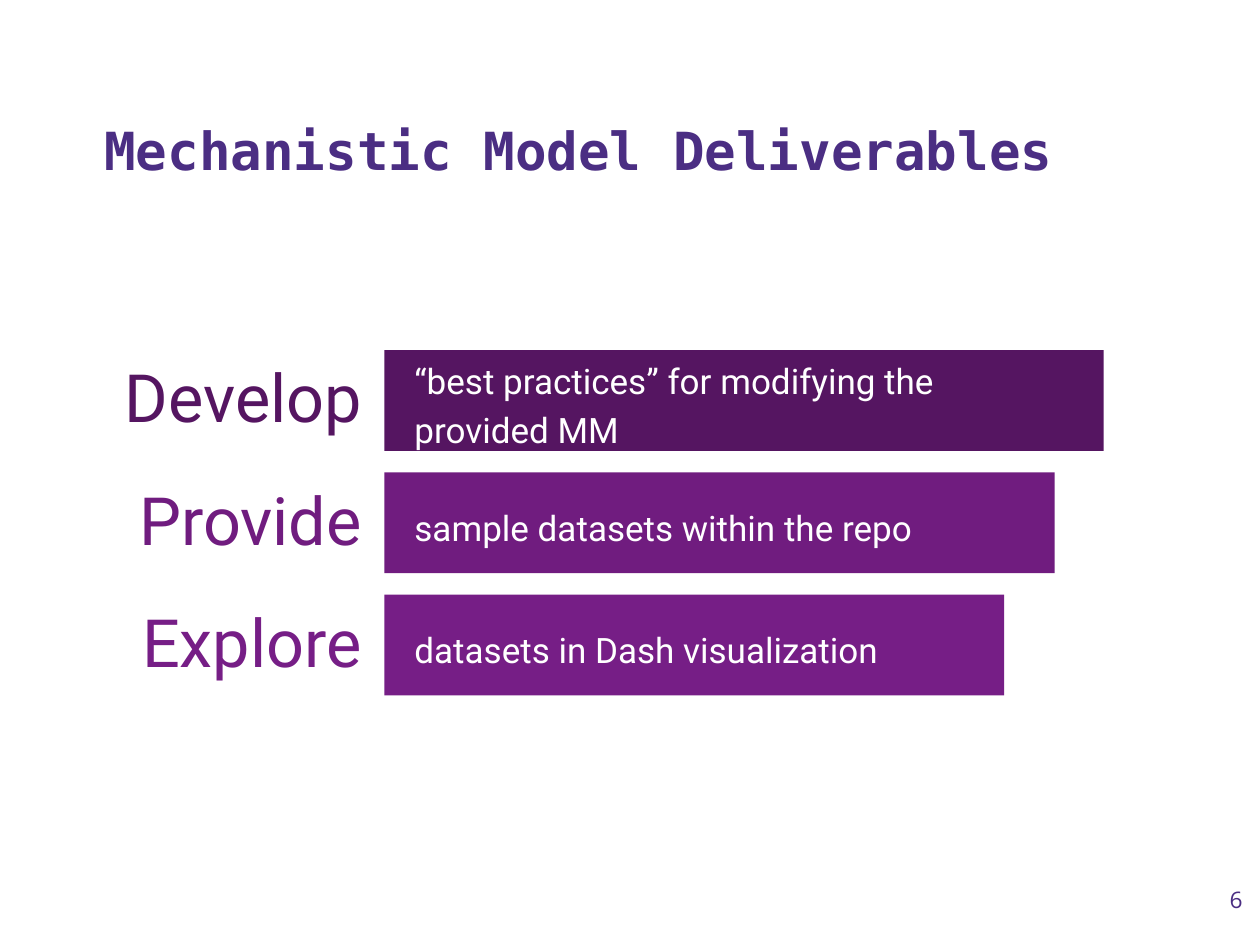
from dataclasses import dataclass

from pptx import Presentation
from pptx.dml.color import RGBColor
from pptx.enum.shapes import MSO_SHAPE
from pptx.enum.text import MSO_ANCHOR, PP_ALIGN
from pptx.util import Inches, Pt

RECT = MSO_SHAPE.RECTANGLE
TOP, MIDDLE, BOTTOM = MSO_ANCHOR.TOP, MSO_ANCHOR.MIDDLE, MSO_ANCHOR.BOTTOM
LEFT, RIGHT = PP_ALIGN.LEFT, PP_ALIGN.RIGHT

INDIGO = RGBColor(0x4B, 0x2E, 0x83)
DARK = RGBColor(0x55, 0x15, 0x61)
PLUM = RGBColor(0x70, 0x1C, 0x7F)
VIOLET = RGBColor(0x76, 0x1E, 0x86)
WHITE = RGBColor(0xFF, 0xFF, 0xFF)

# Row grid, in inches
FIRST, PITCH, HIGH = 2.78, 0.97, 0.8
EDGE, BAR, NOTE = 2.97, 3.05, 3.19


@dataclass
class Style:
    font: str
    size: int
    color: RGBColor
    bold: bool = False
    align: PP_ALIGN = LEFT
    anchor: MSO_ANCHOR = MIDDLE
    line: float = 1.0
    pad: float = 0.05


@dataclass
class Row:
    verb: str
    start: float
    note: str
    wide: float
    tall: float
    bar: float
    color: RGBColor


ROWS = [
    Row("Develop", 0.78, "“best practices” for modifying the provided MM",
        5.21, 0.63, 5.71, DARK),
    Row("Provide", 0, "sample datasets within the repo",
        4.78, 0.36, 5.32, PLUM),
    Row("Explore", 0.83, "datasets in Dash visualization",
        4.21, 0.36, 4.92, VIOLET),
]


def add_text(shapes, text: str, x: float, y: float, w: float, h: float,
             style: Style) -> None:
    box = shapes.add_textbox(Inches(x), Inches(y), Inches(w), Inches(h))
    frame = box.text_frame
    frame.word_wrap = True
    frame.vertical_anchor = style.anchor
    frame.margin_top = frame.margin_bottom = Inches(style.pad)
    frame.text = text
    para = frame.paragraphs[0]
    para.alignment = style.align
    para.line_spacing = style.line
    font = para.runs[0].font
    font.name, font.size, font.bold = style.font, Pt(style.size), style.bold
    font.color.rgb = style.color


def add_row(slide, row: Row, top: float) -> None:
    shapes = slide.shapes.add_group_shape().shapes
    verb = Style("Roboto", 38, row.color, align=RIGHT, line=0.9)
    add_text(shapes, row.verb, row.start, top + 0.06, EDGE - row.start, 0.69,
             verb)
    bar = shapes.add_shape(RECT, Inches(BAR), Inches(top), Inches(row.bar),
                           Inches(HIGH))
    bar.shadow.inherit = False
    bar.fill.solid()
    bar.fill.fore_color.rgb = row.color
    bar.line.fill.background()
    # The note is centred just below the middle of its bar
    mid = top + HIGH / 2 + 0.01
    add_text(shapes, row.note, NOTE, mid - row.tall / 2, row.wide, row.tall,
             Style("Roboto", 20, WHITE, line=1.15))


def main() -> None:
    deck = Presentation()
    deck.slide_width, deck.slide_height = Inches(10), Inches(7.5)
    slide = deck.slides.add_slide(deck.slide_layouts[6])

    # Title and page number
    add_text(slide.shapes, "Mechanistic Model Deliverables",
             0.73, 0.41, 8.95, 1.08,
             Style("DejaVu Sans Mono", 30, INDIGO, bold=True, anchor=BOTTOM))
    add_text(slide.shapes, "6", 9.36, 6.93, 0.6, 0.57,
             Style("Open Sans", 13, INDIGO, align=RIGHT, anchor=TOP, pad=0.1))

    # Deliverables
    for i, row in enumerate(ROWS):
        add_row(slide, row, FIRST + i * PITCH)

    deck.save("out.pptx")


if __name__ == "__main__":
    main()
